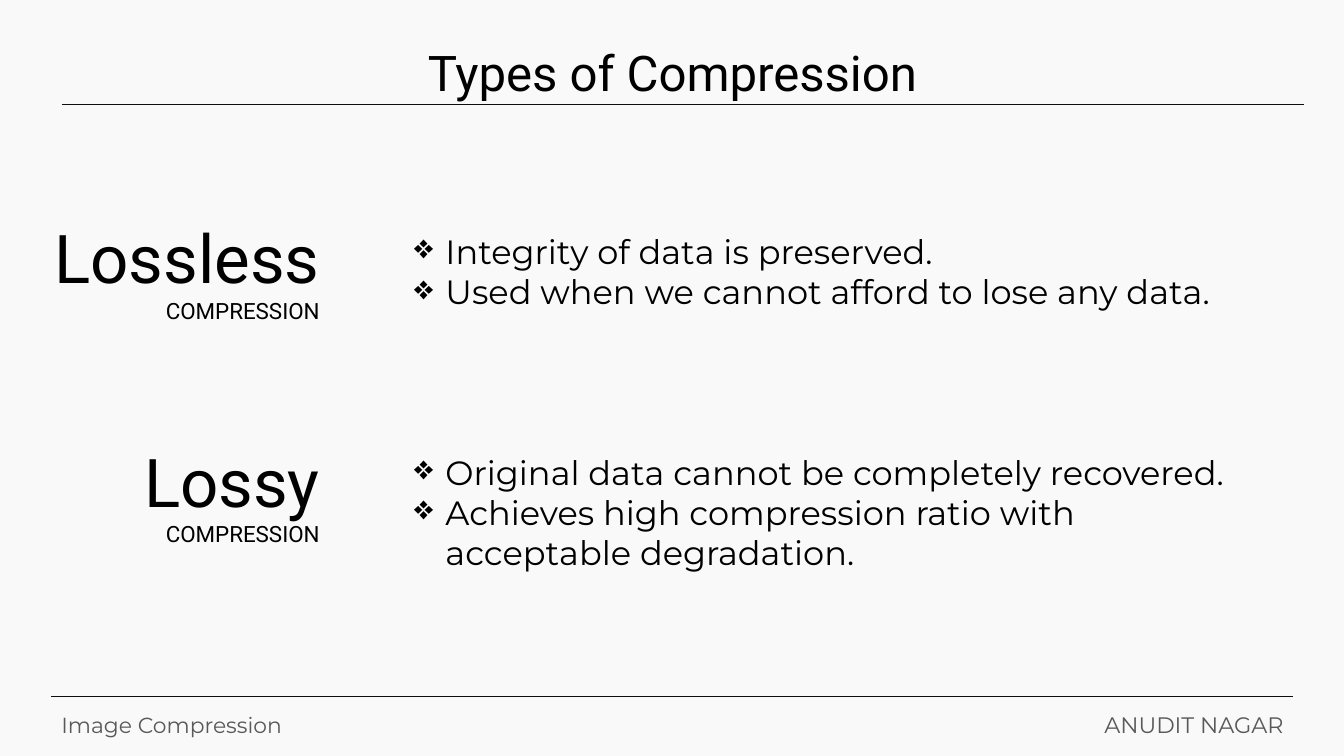
import dataclasses
import typing

import lxml.etree
import pptx
import pptx.dml.color
import pptx.enum.shapes
import pptx.enum.text
import pptx.oxml.ns
import pptx.util

SCALE = 9144  # EMU per px, 100 px to the inch
COLORS = {"back": "F9F9F9", "text": "000000", "rule": "0D0D0D", "foot": "595959"}
HEAD, BODY = "Roboto", "Montserrat"
INDENT = 31
ALIGN = pptx.enum.text.PP_ALIGN
ANCHOR = pptx.enum.text.MSO_ANCHOR


@dataclasses.dataclass
class Run:
    text: str
    size: float
    font: str
    color: str = "text"


@dataclasses.dataclass
class Box:
    left: int
    top: int
    width: int
    height: int
    lines: list[list[Run]]
    align: typing.Any = ALIGN.LEFT
    anchor: typing.Any = ANCHOR.TOP
    space: float = 1.0
    bullet: str = ""


@dataclasses.dataclass
class Kind:
    name: str
    top: int
    point: int
    tall: int
    facts: list[str]


def px(size: int) -> pptx.util.Emu:
    return pptx.util.Emu(size * SCALE)


def tint(name: str) -> pptx.dml.color.RGBColor:
    return pptx.dml.color.RGBColor.from_string(COLORS[name])


def mark(para: typing.Any, sign: str) -> None:
    props = para._p.get_or_add_pPr()
    props.set("marL", str(px(INDENT)))
    props.set("indent", str(-px(INDENT)))
    tag = pptx.oxml.ns.qn("a:buChar")
    lxml.etree.SubElement(props, tag).set("char", sign)


def fill(shape: typing.Any, box: Box) -> None:
    shape.left, shape.top = px(box.left), px(box.top)
    shape.width, shape.height = px(box.width), px(box.height)
    frame = shape.text_frame
    frame.word_wrap = True
    frame.auto_size = pptx.enum.text.MSO_AUTO_SIZE.NONE
    frame.vertical_anchor = box.anchor
    for i, line in enumerate(box.lines):
        para = frame.add_paragraph() if i else frame.paragraphs[0]
        if box.bullet:
            mark(para, box.bullet)
        para.alignment = box.align
        para.line_spacing = box.space
        for part in line:
            run = para.add_run()
            run.text = part.text
            run.font.size = pptx.util.Pt(part.size)
            run.font.name = part.font
            run.font.color.rgb = tint(part.color)


def write(slide: typing.Any, box: Box) -> None:
    fill(slide.shapes.add_textbox(0, 0, 0, 0), box)


def rule(slide: typing.Any, left: int, top: int, width: int) -> None:
    line = slide.shapes.add_connector(
        pptx.enum.shapes.MSO_CONNECTOR.STRAIGHT,
        px(left), px(top), px(left + width), px(top))
    line.line.color.rgb = tint("rule")
    line.line.width = pptx.util.Pt(0.5)
    tag = pptx.oxml.ns.qn("a:effectLst")
    lxml.etree.SubElement(line._element.spPr, tag)


KINDS = [
    Kind("Lossless", 208, 224, 91, [
        "Integrity of data is preserved.",
        "Used when we cannot afford to lose any data."]),
    Kind("Lossy", 430, 443, 131, [
        "Original data cannot be completely recovered.",
        "Achieves high compression ratio with acceptable degradation."]),
]


def main() -> None:
    deck = pptx.Presentation()
    deck.slide_width, deck.slide_height = px(1333), px(750)
    slide = deck.slides.add_slide(deck.slide_layouts[5])
    slide.background.fill.solid()
    slide.background.fill.fore_color.rgb = tint("back")

    # Title
    fill(slide.shapes.title, Box(
        62, 40, 1210, 69, [[Run("Types of Compression", 35.1, HEAD)]],
        ALIGN.CENTER, ANCHOR.MIDDLE, 0.9))
    rule(slide, 62, 104, 1231)

    # Kinds of compression with their facts
    for kind in KINDS:
        label = [Run(kind.name, 48, HEAD), Run(" ", 28, HEAD),
                 Run("COMPRESSION", 16, HEAD)]
        write(slide, Box(0, kind.top, 327, 118, [label],
                         ALIGN.RIGHT, ANCHOR.BOTTOM))
        facts = [[Run(fact, 24, BODY)] for fact in kind.facts]
        write(slide, Box(401, kind.point, 838, kind.tall, facts, bullet="❖"))

    # Footer
    rule(slide, 51, 691, 1231)
    write(slide, Box(51, 704, 684, 44,
                     [[Run("Image Compression", 15.6, BODY, "foot")]], space=0.9))
    write(slide, Box(1051, 704, 232, 36,
                     [[Run("ANUDIT NAGAR", 16, BODY, "foot")]],
                     ALIGN.RIGHT, space=0.9))

    deck.save("out.pptx")


if __name__ == "__main__":
    main()
